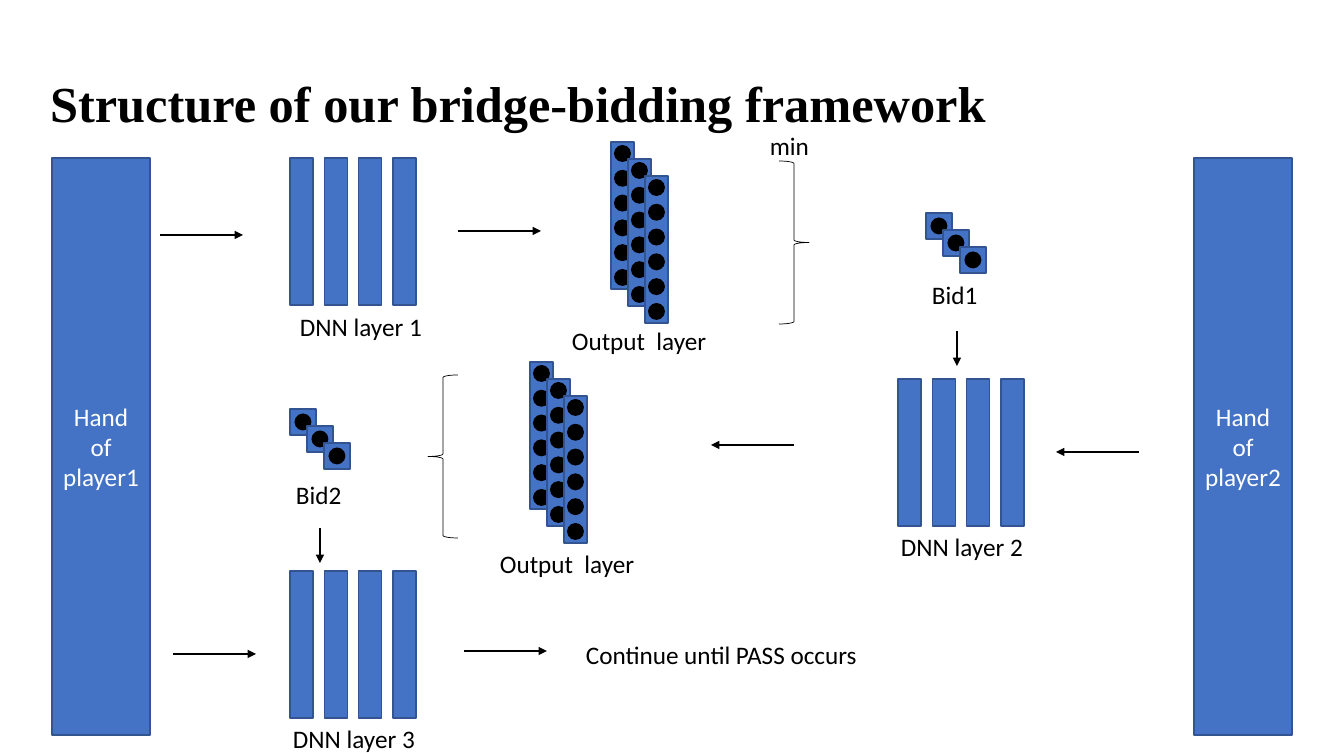
from lxml.etree import SubElement
from pptx import Presentation
from pptx.dml.color import RGBColor
from pptx.enum.shapes import MSO_CONNECTOR, MSO_SHAPE
from pptx.enum.text import MSO_ANCHOR, MSO_AUTO_SIZE, PP_ALIGN
from pptx.oxml.ns import qn
from pptx.util import Emu, Pt

TITLE = ("Structure of our bridge-bidding framework", 40, 67, 1261, 71)
COLORS = {"fill": "4472C4", "edge": "325491", "ink": "000000", "light": "FFFFFF"}
HANDS = [("Hand of player1", 52), ("Hand of player2", 1194)]
HAND_TOP, HAND_W, HAND_H = 158, 98, 577
DNN_LAYERS = [(290, 158), (898, 379), (290, 571)]
OUTPUT_LAYERS = [(611, 142), (530, 362)]
BIDS = [(926, 213), (290, 409)]
BRACES = [(MSO_SHAPE.LEFT_BRACE, 428, 375), (MSO_SHAPE.RIGHT_BRACE, 779, 161)]
BRACE_W, BRACE_H = 30, 163
ARROWS = [
    (160, 235, 243, 235),
    (458, 231, 541, 231),
    (1139, 452, 1056, 452),
    (794, 445, 711, 445),
    (173, 654, 256, 654),
    (464, 651, 547, 651),
    (957, 331, 957, 366),
    (320, 528, 320, 563),
]
LABELS = [
    ("Continue until PASS occurs", 576, 634, 305),
    ("DNN layer 1", 290, 306, 143),
    ("DNN layer 2", 891, 526, 143),
    ("DNN layer 3", 283, 718, 143),
    ("Output  layer", 562, 320, 177),
    ("Output  layer", 490, 543, 177),
    ("min", 760, 125, 63),
    ("Bid1", 922, 274, 71),
    ("Bid2", 286, 474, 68),
]
LABEL_H = 40
BAR_W, BAR_H, BARS, DNN_W = 23, 147, 4, 126
DOT, DOTS = 17, 6
BID, STACK, STEP = 26, 3, 17


def px(v):
    return Emu(round(v * 914400 / 100.8))


def box(*lengths):
    return [px(v) for v in lengths]


def color(name):
    return RGBColor.from_string(COLORS[name])


def style(tf, name="ink", size=18, font="Calibri", bold=False):
    for p in tf.paragraphs:
        for r in p.runs:
            r.font.name = font
            r.font.size = Pt(size)
            r.font.bold = bold
            r.font.color.rgb = color(name)


def add_block(shapes, x, y, w, h):
    s = shapes.add_shape(MSO_SHAPE.RECTANGLE, *box(x, y, w, h))
    s.shadow.inherit = False
    s.fill.solid()
    s.fill.fore_color.rgb = color("fill")
    s.line.color.rgb = color("edge")
    s.line.width = Pt(1)
    return s


def add_dot(shapes, x, y):
    s = shapes.add_shape(MSO_SHAPE.OVAL, *box(x, y, DOT, DOT))
    s.shadow.inherit = False
    s.fill.solid()
    s.fill.fore_color.rgb = color("ink")
    s.line.fill.background()


def add_dnn(slide, x, y):
    group = slide.shapes.add_group_shape()
    pitch = (DNN_W - BAR_W) / (BARS - 1)
    for i in range(BARS):
        add_block(group.shapes, x + i * pitch, y, BAR_W, BAR_H)


def add_stack(slide, x, y, w, h, dots):
    group = slide.shapes.add_group_shape()
    pad = (w - DOT) / 2
    pitch = (h - 2 * pad - DOT) / max(dots - 1, 1)
    for i in range(STACK):
        left, top = x + i * STEP, y + i * STEP
        add_block(group.shapes, left, top, w, h)
        for j in range(dots):
            add_dot(group.shapes, left + pad, top + pad + j * pitch)


def add_brace(slide, kind, x, y):
    s = slide.shapes.add_shape(kind, *box(x, y, BRACE_W, BRACE_H))
    s.shadow.inherit = False
    s.fill.background()
    s.line.color.rgb = color("ink")
    s.line.width = Pt(0.5)


def add_arrow(slide, *ends):
    c = slide.shapes.add_connector(MSO_CONNECTOR.STRAIGHT, *box(*ends))
    c.line.color.rgb = color("ink")
    c.line.width = Pt(1)
    SubElement(c.line._get_or_add_ln(), qn("a:tailEnd"), type="triangle")
    SubElement(c._element.spPr, qn("a:effectLst"))


def add_label(slide, text, x, y, w):
    tf = slide.shapes.add_textbox(*box(x, y, w, LABEL_H)).text_frame
    tf.word_wrap = True
    tf.auto_size = MSO_AUTO_SIZE.SHAPE_TO_FIT_TEXT
    tf.text = text
    style(tf)


def add_title(slide, text, *place):
    s = slide.shapes.title
    s.left, s.top, s.width, s.height = box(*place)
    tf = s.text_frame
    tf.text = text
    tf.word_wrap = True
    tf.auto_size = MSO_AUTO_SIZE.NONE
    tf.vertical_anchor = MSO_ANCHOR.MIDDLE
    tf.paragraphs[0].alignment = PP_ALIGN.LEFT
    style(tf, size=36, font="Times New Roman", bold=True)


def add_hand(slide, text, x):
    tf = add_block(slide.shapes, x, HAND_TOP, HAND_W, HAND_H).text_frame
    tf.text = text
    tf.word_wrap = True
    tf.vertical_anchor = MSO_ANCHOR.MIDDLE
    tf.paragraphs[0].alignment = PP_ALIGN.CENTER
    style(tf, "light")


def main():
    prs = Presentation()
    prs.slide_width, prs.slide_height = box(1344, 756)
    slide = prs.slides.add_slide(prs.slide_layouts[5])
    add_title(slide, *TITLE)
    for hand in HANDS:
        add_hand(slide, *hand)
    for x, y in DNN_LAYERS:
        add_dnn(slide, x, y)
    for x, y in OUTPUT_LAYERS:
        add_stack(slide, x, y, BAR_W, BAR_H, DOTS)
    for x, y in BIDS:
        add_stack(slide, x, y, BID, BID, 1)
    for brace in BRACES:
        add_brace(slide, *brace)
    for arrow in ARROWS:
        add_arrow(slide, *arrow)
    for label in LABELS:
        add_label(slide, *label)
    prs.save("out.pptx")


if __name__ == "__main__":
    main()
